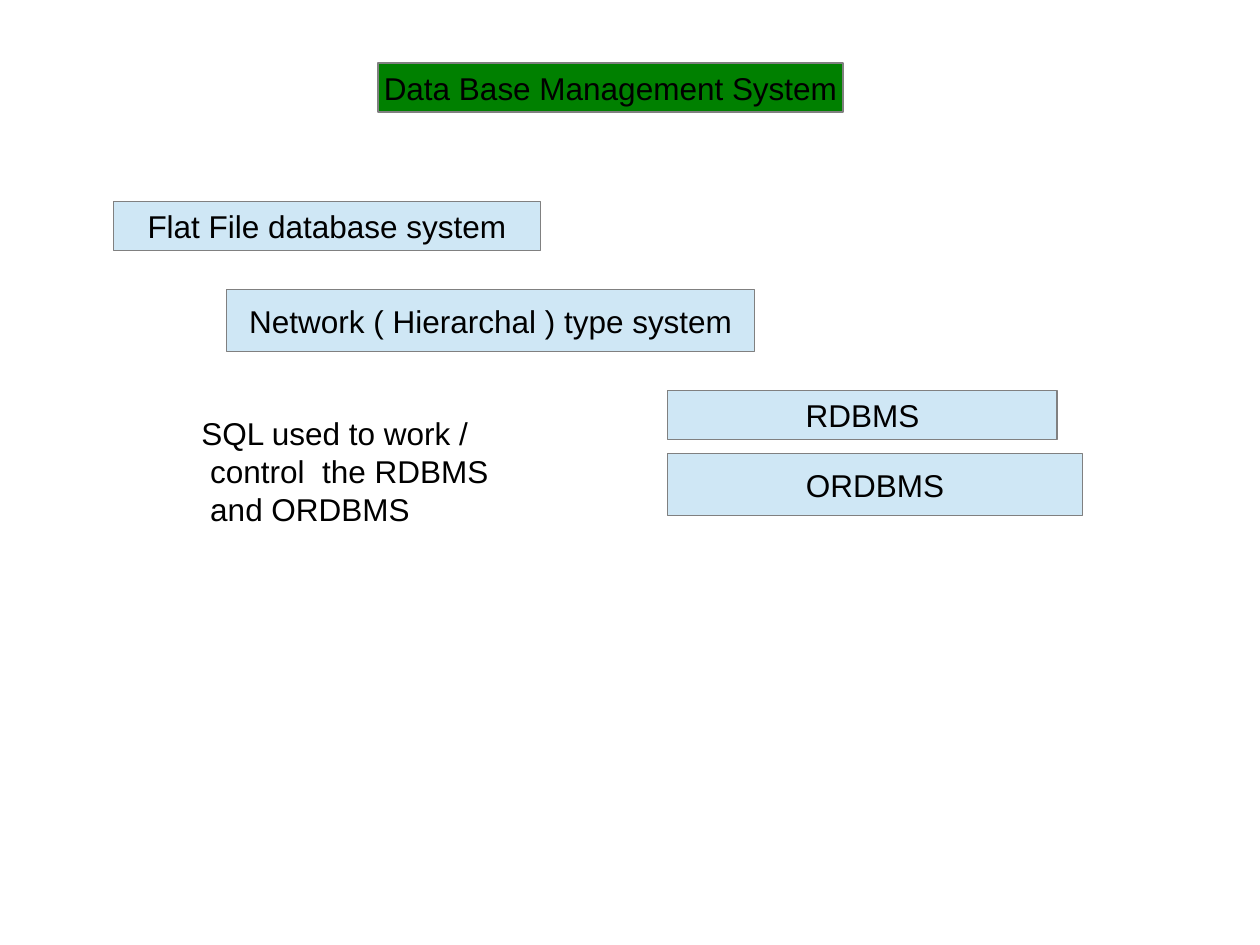
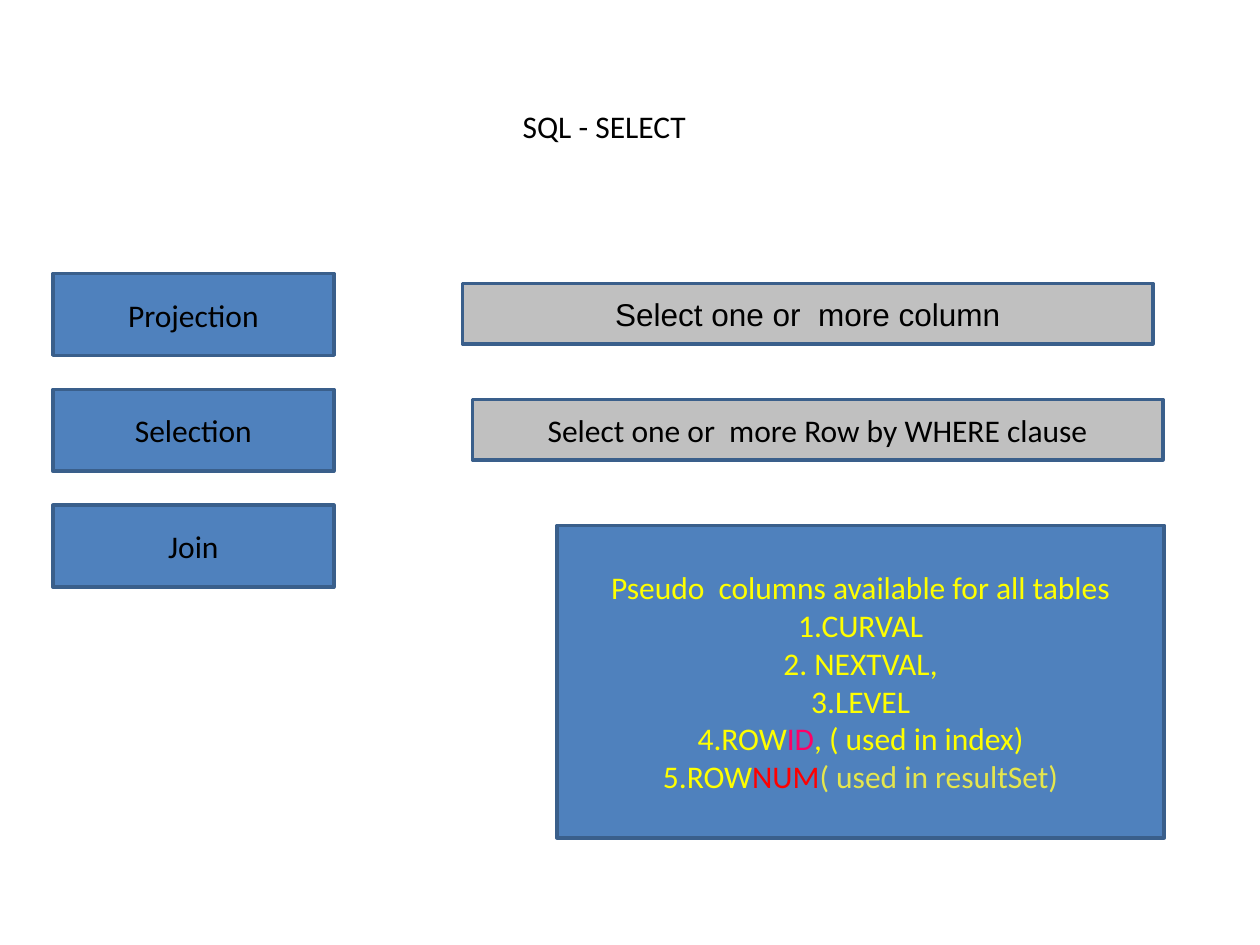
from pptx import Presentation
from pptx.dml.color import RGBColor
from pptx.enum.shapes import MSO_SHAPE
from pptx.enum.text import MSO_ANCHOR, PP_ALIGN
from pptx.util import Inches, Pt

RECTANGLE = MSO_SHAPE.RECTANGLE
MIDDLE, TOP = MSO_ANCHOR.MIDDLE, MSO_ANCHOR.TOP
CENTER, LEFT = PP_ALIGN.CENTER, PP_ALIGN.LEFT

BLACK, YELLOW, PINK, RED, PALE_YELLOW = "000000", "FFFF00", "FF0066", "FF0000", "E6E64C"
GREEN, PALE_BLUE, BLUE, SILVER = "008000", "CFE7F5", "4F81BD", "C0C0C0"
GREY_EDGE, BLUE_EDGE = ("808080", 0.75), ("3A5F8B", 2)


def rgb(value):
    return RGBColor.from_string(value)


class Deck:
    """Holds the shared style and the slide being built."""

    def __init__(self):
        self.prs = Presentation()
        self.prs.slide_width, self.prs.slide_height = Inches(10), Inches(7.5)
        self.margins = {"margin_left": Inches(0.1), "margin_right": Inches(0.1),
                        "margin_top": Inches(0.05), "margin_bottom": Inches(0.05)}

    def start_slide(self, font, edge, wrap):
        self.slide = self.prs.slides.add_slide(self.prs.slide_layouts[6])
        self.font, self.edge, self.wrap = font, edge, wrap

    def set_text(self, shape, lines, font, align, anchor, wrap, hang=0):
        frame = shape.text_frame
        layout = {**self.margins, "vertical_anchor": anchor, "word_wrap": wrap}
        for name, value in layout.items():
            setattr(frame, name, value)
        for index, line in enumerate(lines):
            paragraph = frame.add_paragraph() if index else frame.paragraphs[0]
            paragraph.alignment = align
            if index and hang:
                paragraph._p.get_or_add_pPr().set("marL", str(Inches(hang)))
            for words, color in [(line, BLACK)] if isinstance(line, str) else line:
                run = paragraph.add_run()
                run.text = words
                for name, value in {"name": font or self.font, "size": Pt(18)}.items():
                    setattr(run.font, name, value)
                run.font.color.rgb = rgb(color)

    def box(self, place, lines, fill, font=None):
        shape = self.slide.shapes.add_shape(RECTANGLE, *map(Inches, place))
        shape.shadow.inherit = False
        shape.fill.solid()
        shape.fill.fore_color.rgb = rgb(fill)
        edge_color, edge_width = self.edge
        shape.line.color.rgb = rgb(edge_color)
        shape.line.width = Pt(edge_width)
        self.set_text(shape, lines, font, CENTER, MIDDLE, self.wrap)

    def label(self, place, lines, align=LEFT, hang=0):
        shape = self.slide.shapes.add_textbox(*map(Inches, place))
        self.set_text(shape, lines, None, align, TOP, True, hang)


def build_database_systems(deck):
    deck.start_slide("Arial", GREY_EDGE, wrap=False)
    deck.box((3, 0.5, 3.69, 0.39), ["Data Base Management System"], GREEN)
    systems = [
        ("Flat File database system", (0.9, 1.6, 3.39, 0.39)),
        ("Network ( Hierarchal ) type system", (1.8, 2.3, 4.19, 0.49)),
        ("RDBMS", (5.3, 3.1, 3.09, 0.39)),
        ("ORDBMS", (5.3, 3.6, 3.29, 0.49)),
    ]
    for system, place in systems:
        deck.box(place, [system], PALE_BLUE)
    deck.label((1.5, 3.24, 2.99, 0.93),
               ["SQL used to work /", "control  the RDBMS", "and ORDBMS"], hang=0.07)


def build_select(deck):
    deck.start_slide("Calibri", BLUE_EDGE, wrap=True)
    for row, operation in enumerate(["Projection", "Selection", "Join"]):
        deck.box((0.42, 2.17 + row * 0.92, 2.23, 0.65), [operation], BLUE)
    deck.box((3.67, 2.25, 5.48, 0.48), ["Select one or  more column"], SILVER, "Arial")
    deck.box((3.75, 3.17, 5.48, 0.48), ["Select one or  more Row by WHERE clause"], SILVER)
    pseudo_columns = [
        [("Pseudo  columns available for all tables 1.CURVAL", YELLOW)],
        [("2. NEXTVAL,", YELLOW)],
        [("3.LEVEL", YELLOW)],
        [("4.ROW", YELLOW), ("ID", PINK), (", ( used in index)", YELLOW)],
        [("5.ROW", YELLOW), ("NUM", RED), ("( used in resultSet)", PALE_YELLOW)],
    ]
    deck.box((4.42, 4.17, 4.82, 2.48), pseudo_columns, BLUE)
    deck.label((2.3, 0.8, 4.99, 0.37), ["SQL - SELECT"], CENTER)


def main():
    deck = Deck()
    build_database_systems(deck)
    build_select(deck)
    deck.prs.save("out.pptx")


if __name__ == "__main__":
    main()
